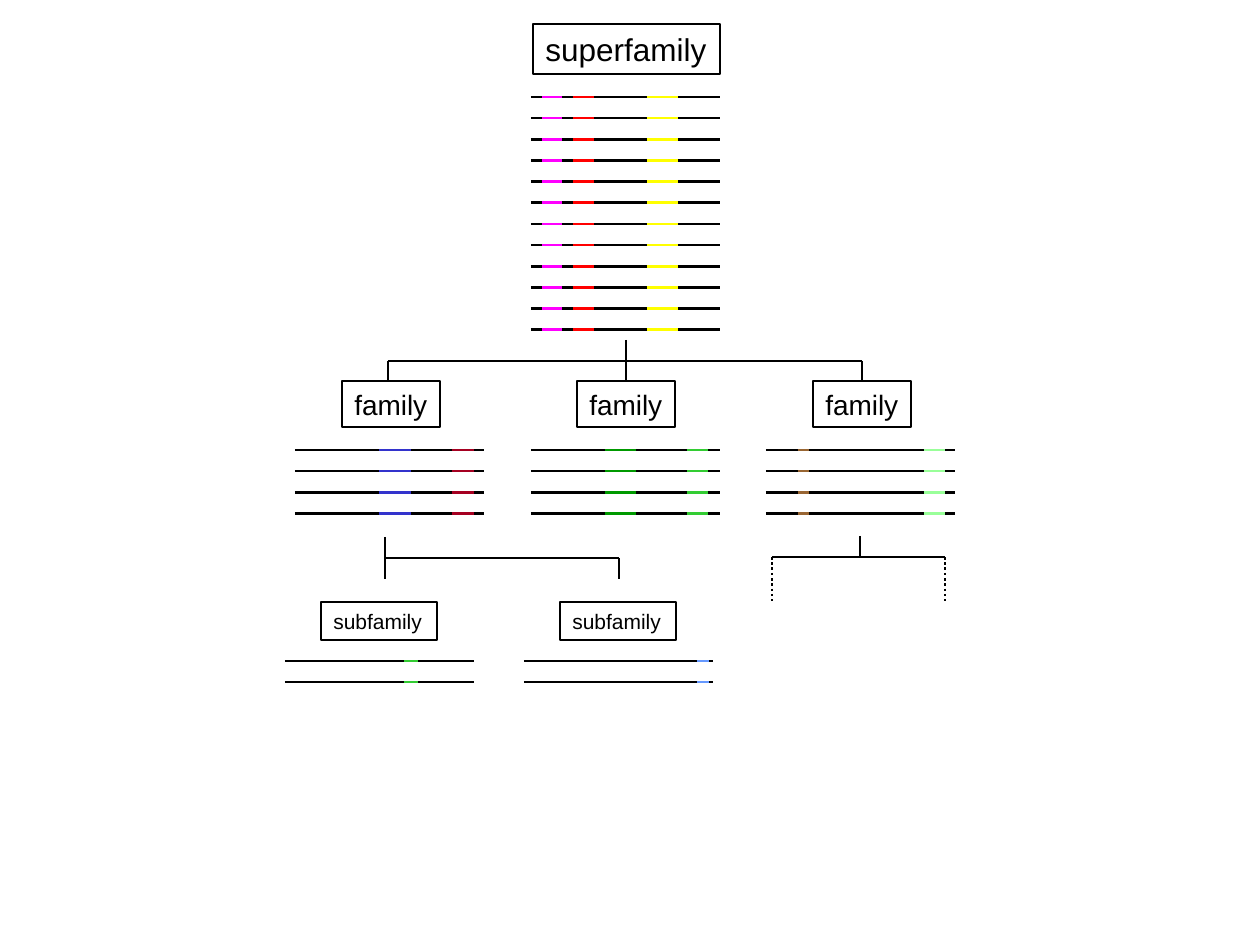
from lxml.etree import SubElement
from pptx import Presentation
from pptx.dml.color import RGBColor
from pptx.enum.dml import MSO_LINE
from pptx.enum.shapes import MSO_CONNECTOR, MSO_SHAPE
from pptx.enum.text import MSO_ANCHOR, MSO_AUTO_SIZE, PP_ALIGN
from pptx.oxml.ns import qn
from pptx.util import Emu, Pt

SCALE = 914400 / 126
PITCH = 21.15   # between strands
LENGTH = 189    # of a strand
FONT = "Arial"

COLORS = {
    "black": "000000", "magenta": "FF00FF", "red": "FF0000",
    "yellow": "FFFF00", "blue": "3333CC", "crimson": "A50021",
    "green": "009900", "lime": "33CC33", "brown": "996633",
    "mint": "99FF99", "sky": "6699FF",
}

# level: box top, width, height, text size, first strand, strand count
LEVELS = {
    "superfamily": (24, 187, 50, 18, 97, 12),
    "family": (381, 98, 46, 16, 450, 4),
    "subfamily": (602, 116, 38, 12, 661, 2),
}

# level, box left, strand left, motifs (start, end, colour) along the strand
NODES = [
    ("superfamily", 533, 531,
     [(11, 31, "magenta"), (42, 63, "red"), (116, 147, "yellow")]),
    ("family", 342, 295, [(84, 116, "blue"), (157, 179, "crimson")]),
    ("family", 577, 531, [(74, 105, "green"), (156, 177, "lime")]),
    ("family", 813, 766, [(32, 43, "brown"), (158, 179, "mint")]),
    ("subfamily", 321, 285, [(119, 133, "lime")]),
    ("subfamily", 560, 524, [(173, 185, "sky")]),
]

# trunk x, trunk top, bar y, drop end, drop xs, dotted drops
FORKS = [
    (626, 340, 361, 381, [388, 626, 862], False),
    (385, 537, 558, 579, [385, 619], False),
    (860, 536, 557, 601, [772, 945], True),
]


def px(n):
    return Emu(round(n * SCALE))


def ink(line, color):
    line.color.rgb = RGBColor.from_string(COLORS[color])
    line.width = Pt(1.5)


def draw_line(x1, y1, x2, y2, color="black", dotted=False):
    line = slide.shapes.add_connector(
        MSO_CONNECTOR.STRAIGHT, px(x1), px(y1), px(x2), px(y2))
    ink(line.line, color)
    if dotted:
        line.line.dash_style = MSO_LINE.ROUND_DOT
    SubElement(line._element.spPr, qn("a:effectLst"))
    return line


def draw_box(text, x, y, w, h, size):
    box = slide.shapes.add_shape(MSO_SHAPE.RECTANGLE, px(x), px(y), px(w), px(h))
    box.shadow.inherit = False
    box.fill.background()
    ink(box.line, "black")
    frame = box.text_frame
    frame.word_wrap = False
    frame.auto_size = MSO_AUTO_SIZE.SHAPE_TO_FIT_TEXT
    frame.vertical_anchor = MSO_ANCHOR.TOP
    para = frame.paragraphs[0]
    para.alignment = PP_ALIGN.LEFT
    run = para.add_run()
    run.text = text
    run.font.name = FONT
    run.font.size = Pt(size)
    run.font.color.rgb = RGBColor.from_string(COLORS["black"])
    return box


prs = Presentation()
prs.slide_width, prs.slide_height = px(1260), px(945)
slide = prs.slides.add_slide(prs.slide_layouts[6])

tops = {}   # top middle of each box
for level, left, start, motifs in NODES:
    top, wide, high, size, first, count = LEVELS[level]
    box = draw_box(level, left, top, wide, high, size)
    tops[left + wide / 2, top] = box
    for row in range(count):
        y = first + row * PITCH
        draw_line(start, y, start + LENGTH, y)
        for begin, end, color in motifs:
            draw_line(start + begin, y, start + end, y, color)

for trunk, top, bar, end, drops, dotted in FORKS:
    draw_line(trunk, top, trunk, bar)
    draw_line(drops[0], bar, drops[-1], bar)
    for x in drops:
        drop = draw_line(x, bar, x, end, dotted=dotted)
        if (x, end) in tops:
            drop.end_connect(tops[x, end], 0)

prs.save("out.pptx")
